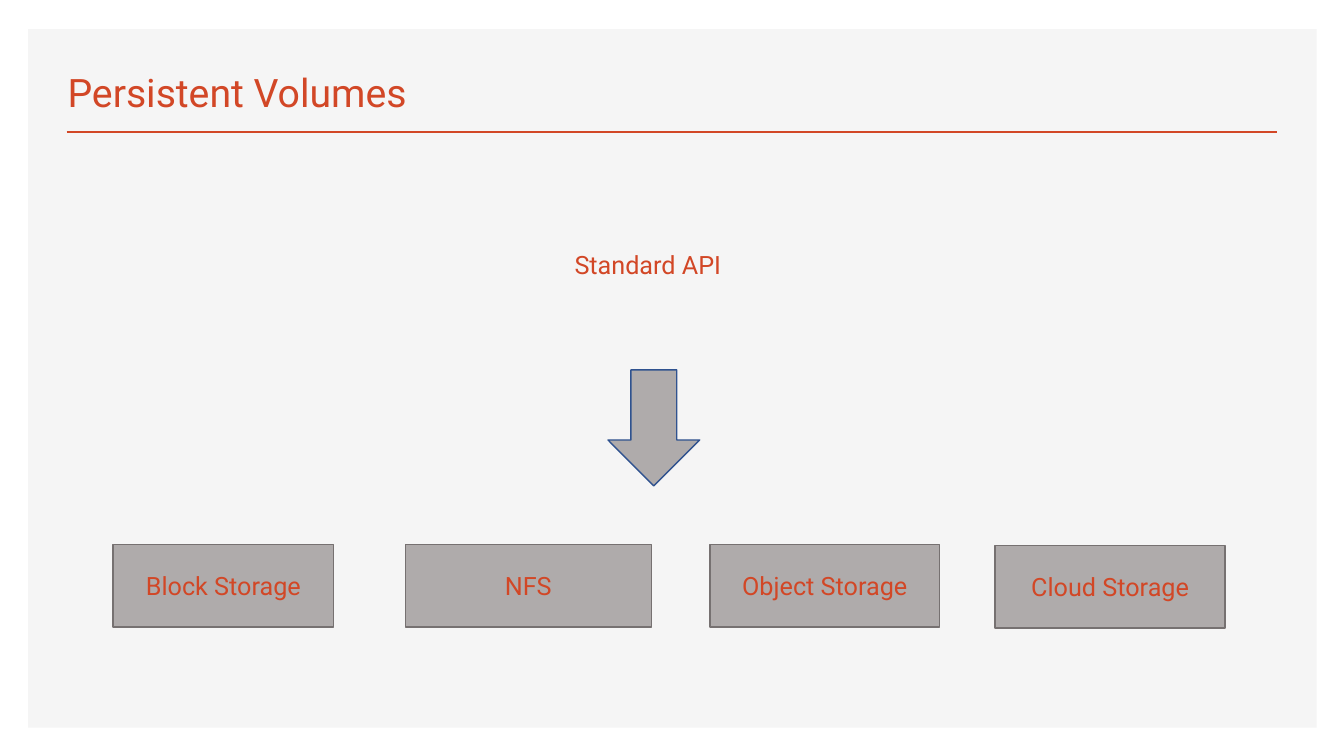
from dataclasses import dataclass

from lxml.etree import SubElement
from pptx import Presentation
from pptx.dml.color import RGBColor
from pptx.enum.shapes import MSO_CONNECTOR, MSO_SHAPE
from pptx.enum.text import MSO_ANCHOR, MSO_AUTO_SIZE, PP_ALIGN
from pptx.oxml.ns import qn
from pptx.util import Emu, Pt


@dataclass(frozen=True)
class Theme:
    font: str = "Roboto"
    accent: RGBColor = RGBColor(0xD2, 0x47, 0x26)
    panel: RGBColor = RGBColor(0xF5, 0xF5, 0xF5)
    block: RGBColor = RGBColor(0xAF, 0xAB, 0xAB)
    block_edge: RGBColor = RGBColor(0x76, 0x71, 0x71)
    arrow_edge: RGBColor = RGBColor(0x2F, 0x52, 0x8F)
    title_size: int = 28
    label_size: int = 18
    edge_width: int = 1
    rule_width: int = 2


THEME = Theme()
EMU_PER_PX = 9144  # 100 px to the inch

# Storage backends: name, left, top, width
BACKEND_HEIGHT = 82
BACKENDS = [
    ("Block Storage", 112, 540, 219),
    ("NFS", 402, 540, 244),
    ("Object Storage", 704, 540, 228),
    ("Cloud Storage", 987, 541, 228),
]


def px(*lengths):
    return [Emu(length * EMU_PER_PX) for length in lengths]


def write(frame, text, size, align=PP_ALIGN.LEFT):
    """Set one line of text in the theme's font and accent colour."""
    frame.text = text
    paragraph = frame.paragraphs[0]
    paragraph.alignment = align
    for run in paragraph.runs:
        run.font.name = THEME.font
        run.font.size = Pt(size)
        run.font.color.rgb = THEME.accent


def add_block(slide, kind, box, fill, edge=None):
    block = slide.shapes.add_shape(kind, *px(*box))
    block.shadow.inherit = False
    block.fill.solid()
    block.fill.fore_color.rgb = fill
    if edge is None:
        block.line.fill.background()
    else:
        block.line.color.rgb = edge
        block.line.width = Pt(THEME.edge_width)
    return block


def add_rule(slide, left, right, y):
    rule = slide.shapes.add_connector(MSO_CONNECTOR.STRAIGHT, *px(left, y, right, y))
    rule.line.color.rgb = THEME.accent
    rule.line.width = Pt(THEME.rule_width)
    SubElement(rule._element.spPr, qn("a:effectLst"))


def set_title(slide, text, box):
    title = slide.shapes.title
    title.left, title.top, title.width, title.height = px(*box)
    frame = title.text_frame
    frame.auto_size = MSO_AUTO_SIZE.NONE
    frame.vertical_anchor = MSO_ANCHOR.BOTTOM
    write(frame, text, THEME.title_size)
    # Bring the title in front of the panel
    slide.shapes._spTree.append(title._element)


def add_label(slide, text, box):
    frame = slide.shapes.add_textbox(*px(*box)).text_frame
    frame.word_wrap = True
    write(frame, text, THEME.label_size)


def add_backend(slide, name, left, top, width):
    backend = add_block(slide, MSO_SHAPE.RECTANGLE, (left, top, width, BACKEND_HEIGHT),
                        THEME.block, THEME.block_edge)
    backend.text_frame.vertical_anchor = MSO_ANCHOR.MIDDLE
    write(backend.text_frame, name, THEME.label_size, PP_ALIGN.CENTER)


def main():
    deck = Presentation()
    deck.slide_width, deck.slide_height = px(1333, 750)
    slide = deck.slides.add_slide(deck.slide_layouts.get_by_name("Title Only"))

    # Panel, rule and title
    add_block(slide, MSO_SHAPE.RECTANGLE, (28, 29, 1278, 693), THEME.panel)
    add_rule(slide, 66, 1267, 131)
    set_title(slide, "Persistent Volumes", (57, 49, 1159, 70))

    # Storage backends
    for backend in BACKENDS:
        add_backend(slide, *backend)

    # The API and the arrow down to the backends
    add_block(slide, MSO_SHAPE.DOWN_ARROW, (603, 367, 91, 115),
              THEME.block, THEME.arrow_edge)
    add_label(slide, "Standard API", (560, 242, 340, 40))

    deck.save("out.pptx")


if __name__ == "__main__":
    main()
